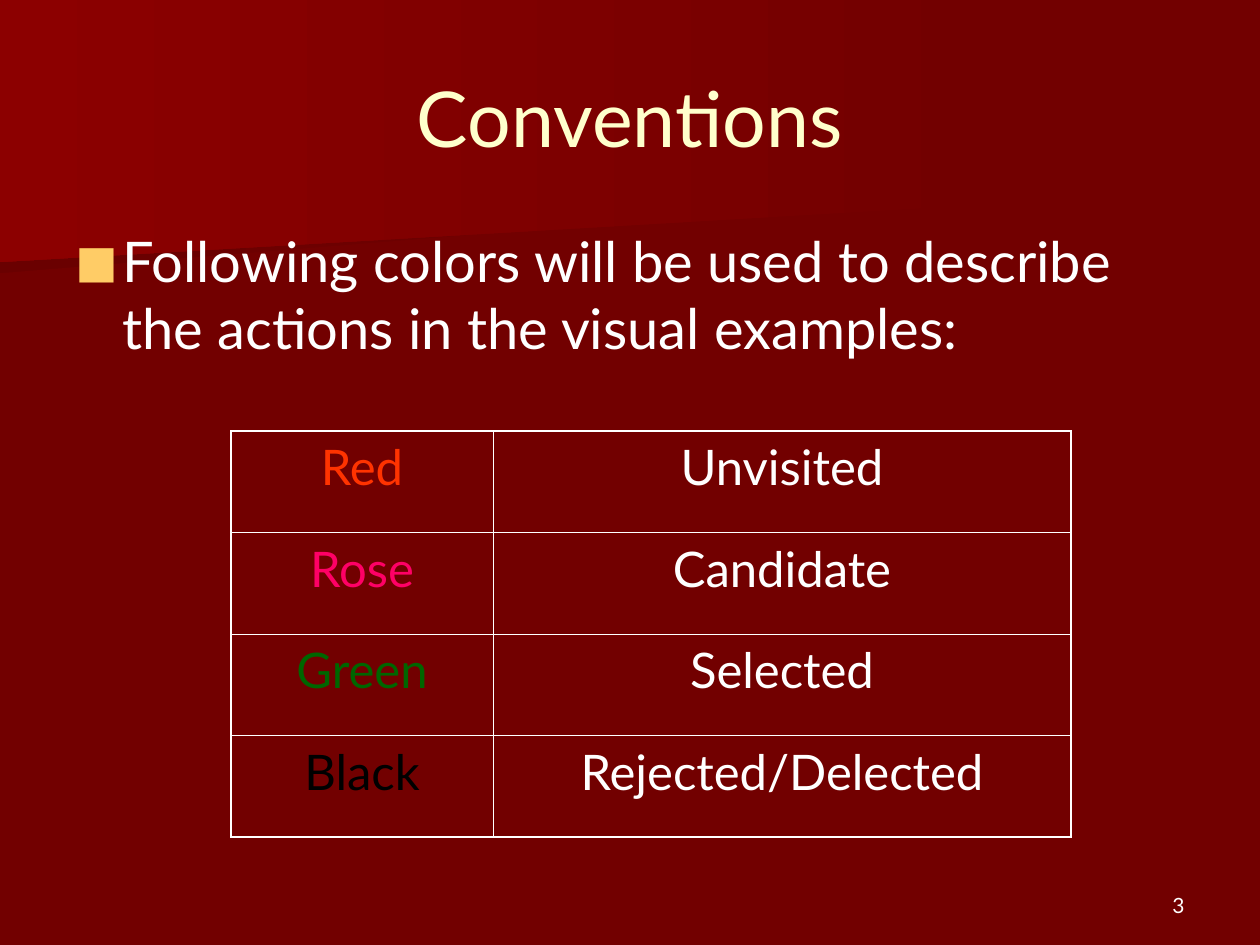
from typing import NamedTuple

from lxml.etree import SubElement
from pptx import Presentation
from pptx.dml.color import RGBColor
from pptx.enum.text import MSO_ANCHOR, PP_ALIGN
from pptx.oxml import parse_xml
from pptx.oxml.ns import nsdecls, qn
from pptx.util import Emu, Pt

PX_PER_INCH = 126
FONT = "Lato"

MAROON = RGBColor(0x72, 0x00, 0x00)
DARK_MAROON = RGBColor(0x6A, 0x00, 0x00)
CRIMSON = RGBColor(0x8C, 0x00, 0x00)
CREAM = RGBColor(0xFF, 0xFF, 0xCC)
GOLD = RGBColor(0xFF, 0xCC, 0x66)
WHITE = RGBColor(0xFF, 0xFF, 0xFF)
RED = RGBColor(0xFF, 0x33, 0x00)
ROSE = RGBColor(0xFF, 0x00, 0x66)
GREEN = RGBColor(0x00, 0x66, 0x00)
BLACK = RGBColor(0x00, 0x00, 0x00)

OUTER_BORDER = Pt(1.08)
INNER_BORDER = Pt(0.45)


class Wedge(NamedTuple):
    points: list[tuple[int, int]]
    left_color: RGBColor


class Label(NamedTuple):
    text: str
    box: tuple[int, int, int, int]
    size: int
    color: RGBColor
    align: PP_ALIGN
    anchor: MSO_ANCHOR


class Convention(NamedTuple):
    color_name: str
    color: RGBColor
    meaning: str


WEDGES = [
    Wedge([(981, 193), (0, 273), (0, 127), (982, 127), (981, 161)], DARK_MAROON),
    Wedge([(998, 204), (0, 262), (0, 0), (998, 0)], CRIMSON),
]
TITLE = Label("Conventions", (63, 38, 1134, 157), 44, CREAM,
              PP_ALIGN.CENTER, MSO_ANCHOR.MIDDLE)
INTRO = Label("Following colors will be used to describe the actions in the visual examples:",
              (63, 220, 1134, 211), 32, WHITE, PP_ALIGN.LEFT, MSO_ANCHOR.TOP)
PAGE_NUMBER = Label("3", (903, 861, 294, 63), 12, WHITE,
                    PP_ALIGN.RIGHT, MSO_ANCHOR.BOTTOM)
CONVENTIONS = [
    Convention("Red", RED, "Unvisited"),
    Convention("Rose", ROSE, "Candidate"),
    Convention("Green", GREEN, "Selected"),
    Convention("Black", BLACK, "Rejected/Delected"),
]
TABLE_BOX = (231, 431, 840, 406)
COLUMN_WIDTHS = (262, 578)


def px(length: int) -> Emu:
    return Emu(round(length * 914400 / PX_PER_INCH))


def format_paragraph(paragraph, size: int, color: RGBColor, align: PP_ALIGN) -> None:
    paragraph.alignment = align
    for run in paragraph.runs:
        run.font.name = FONT
        run.font.size = Pt(size)
        run.font.color.rgb = color


def draw_wedge(slide, wedge: Wedge) -> None:
    start, *others = [(px(x), px(y)) for x, y in wedge.points]
    builder = slide.shapes.build_freeform(*start)
    builder.add_line_segments(others, close=True)
    shape = builder.convert_to_shape()
    shape.shadow.inherit = False
    shape.line.fill.background()
    shape.fill.gradient()
    shape.fill.gradient_angle = 180
    right_stop, left_stop = shape.fill.gradient_stops
    right_stop.position, left_stop.position = 0, 1
    right_stop.color.rgb = MAROON
    left_stop.color.rgb = wedge.left_color


def draw_label(slide, label: Label):
    """Draw the text box and return its paragraph."""
    frame = slide.shapes.add_textbox(*map(px, label.box)).text_frame
    frame.word_wrap = True
    frame.vertical_anchor = label.anchor
    frame.text = label.text
    paragraph = frame.paragraphs[0]
    format_paragraph(paragraph, label.size, label.color, label.align)
    return paragraph


def add_square_bullet(paragraph, color: RGBColor, percent: int, indent: int) -> None:
    properties = paragraph._p.get_or_add_pPr()
    properties.set("marL", str(px(indent)))
    properties.set("indent", str(-px(indent)))
    bullet_color = SubElement(properties, qn("a:buClr"))
    SubElement(bullet_color, qn("a:srgbClr"), val=str(color))
    SubElement(properties, qn("a:buSzPct"), val=str(percent * 1000))
    SubElement(properties, qn("a:buFont"), typeface=FONT)
    SubElement(properties, qn("a:buChar"), char="■")


def set_borders(cell, widths: dict[str, Emu]) -> None:
    """Put lines on the cell's sides, keyed L, R, T, B in schema order."""
    properties = cell._tc.get_or_add_tcPr()
    for index, (side, width) in enumerate(widths.items()):
        properties.insert(index, parse_xml(
            f'<a:ln{side} {nsdecls("a")} w="{width}"><a:solidFill>'
            f'<a:srgbClr val="{WHITE}"/></a:solidFill></a:ln{side}>'))


def draw_conventions(slide, conventions: list[Convention]) -> None:
    row_count, column_count = len(conventions), len(COLUMN_WIDTHS)
    table = slide.shapes.add_table(row_count, column_count, *map(px, TABLE_BOX)).table
    table.first_row = False
    table.horz_banding = False
    for column, width in zip(table.columns, COLUMN_WIDTHS):
        column.width = px(width)

    def border(is_outer: bool) -> Emu:
        return OUTER_BORDER if is_outer else INNER_BORDER

    for i, convention in enumerate(conventions):
        entries = [(convention.color_name, convention.color), (convention.meaning, WHITE)]
        for j, (text, color) in enumerate(entries):
            cell = table.cell(i, j)
            cell.fill.background()
            cell.text = text
            paragraph = cell.text_frame.paragraphs[0]
            paragraph.space_before = Pt(7)
            format_paragraph(paragraph, 28, color, PP_ALIGN.CENTER)
            set_borders(cell, {"L": border(j == 0), "R": border(j == column_count - 1),
                               "T": border(i == 0), "B": border(i == row_count - 1)})


def main() -> None:
    presentation = Presentation()
    presentation.slide_width, presentation.slide_height = px(1260), px(945)
    slide = presentation.slides.add_slide(presentation.slide_layouts[6])
    slide.background.fill.solid()
    slide.background.fill.fore_color.rgb = MAROON

    for wedge in WEDGES:
        draw_wedge(slide, wedge)
    draw_label(slide, TITLE)
    intro = draw_label(slide, INTRO)
    intro.space_before = Pt(8)
    add_square_bullet(intro, GOLD, percent=80, indent=47)
    draw_conventions(slide, CONVENTIONS)
    draw_label(slide, PAGE_NUMBER)
    presentation.save("out.pptx")


if __name__ == "__main__":
    main()
